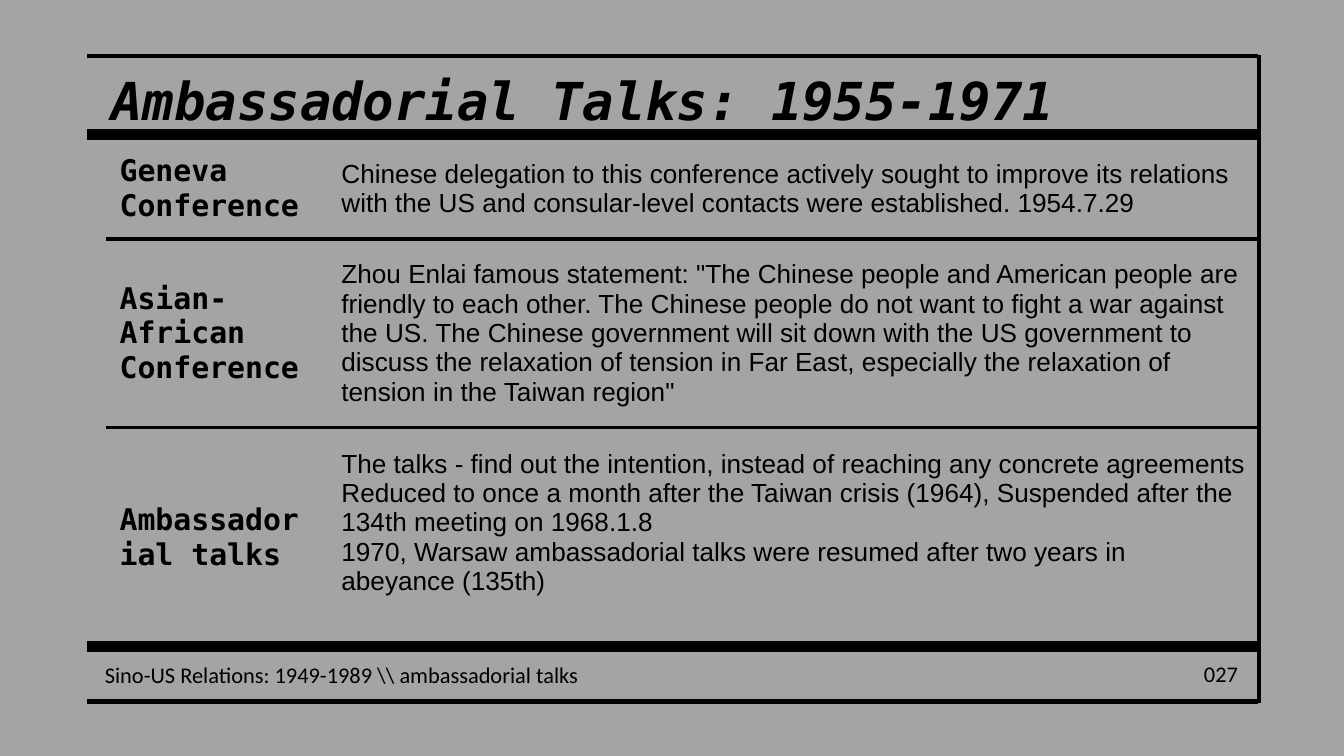
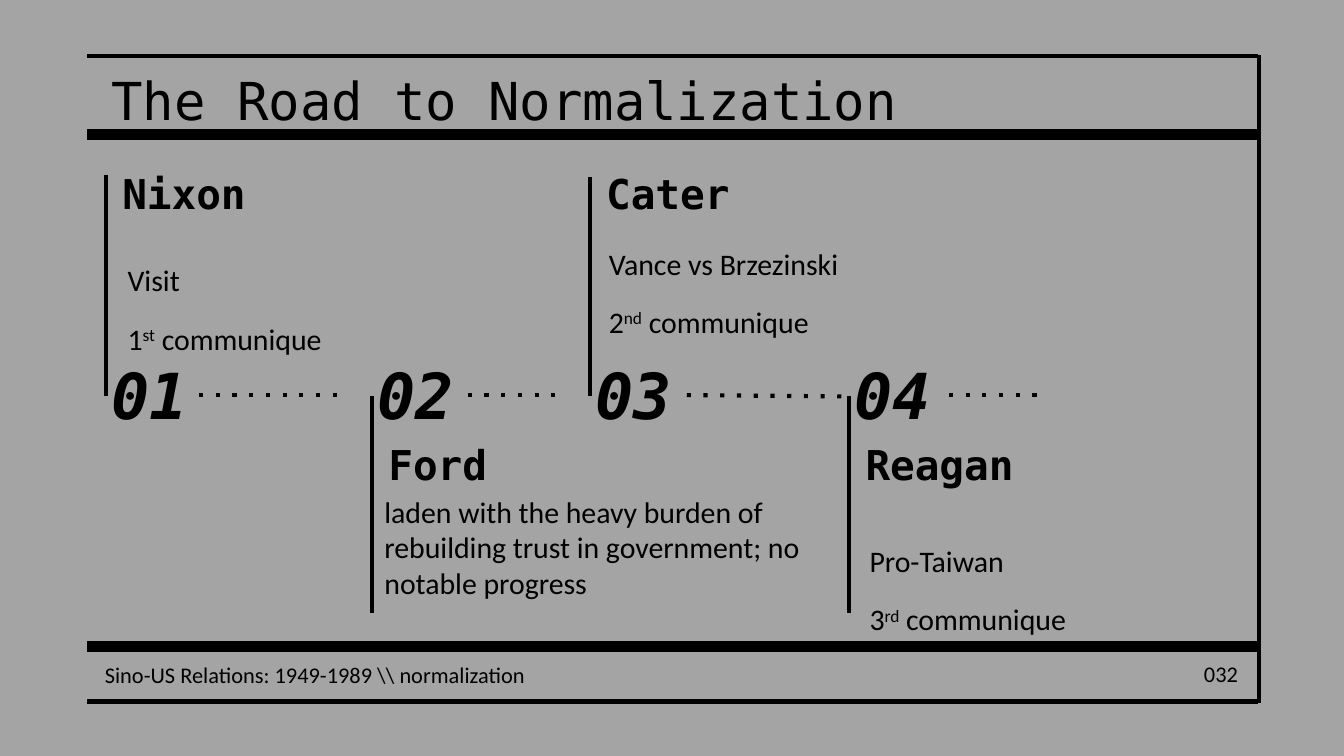
import pptx
import pptx.dml.color
import pptx.enum.shapes
import pptx.enum.text
import pptx.oxml
import pptx.oxml.ns
import pptx.util
from pptx.util import Inches

COLORS = {"background": "A5A4A4", "ink": "000000"}
MONO, BODY, TABLE = "DejaVu Sans Mono", "Calibri", "Arial"
RULE, BAND = 2.25, 6
ANCHOR = pptx.enum.text.MSO_ANCHOR
ALIGN = pptx.enum.text.PP_ALIGN
DRAWING = pptx.oxml.ns.nsdecls("a")


class Deck:
    """Holds the shared style and the slide being built."""

    def __init__(self):
        self.presentation = pptx.Presentation()
        self.presentation.slide_width = Inches(10)
        self.presentation.slide_height = Inches(10 * 9 / 16)
        self.slide = None

    def color(self, name):
        return pptx.dml.color.RGBColor.from_string(COLORS[name])

    def style(self, paragraph, size, font, bold=False, italic=False):
        paragraph.font.size = pptx.util.Pt(size)
        paragraph.font.name = font
        paragraph.font.bold = bold
        paragraph.font.italic = italic
        paragraph.font.color.rgb = self.color("ink")

    def text(self, box, paragraphs, size, font, bold=False, italic=False,
             after=0, align=ALIGN.LEFT, anchor=ANCHOR.TOP, insets=(0.04, 0)):
        """Each paragraph is a string or a list of (text, is_superscript)."""
        shape = self.slide.shapes.add_textbox(*map(Inches, box))
        frame = shape.text_frame
        frame.word_wrap = True
        frame.vertical_anchor = anchor
        frame.margin_left = frame.margin_right = Inches(insets[0])
        frame.margin_top = frame.margin_bottom = Inches(insets[1])
        for index, content in enumerate(paragraphs):
            paragraph = frame.paragraphs[0] if index == 0 else frame.add_paragraph()
            paragraph.alignment = align
            paragraph.space_after = pptx.util.Pt(after)
            self.style(paragraph, size, font, bold, italic)
            runs = [(content, False)] if isinstance(content, str) else content
            for words, superscript in runs:
                run = paragraph.add_run()
                run.text = words
                if superscript:
                    run._r.get_or_add_rPr().set("baseline", "30000")
        return shape

    def line(self, start, end, width=RULE, dotted=False):
        connector = self.slide.shapes.add_connector(
            pptx.enum.shapes.MSO_CONNECTOR.STRAIGHT, *map(Inches, start + end))
        connector.line.width = pptx.util.Pt(width)
        connector.line.color.rgb = self.color("ink")
        properties = connector._element.spPr
        if dotted:
            properties.find(pptx.oxml.ns.qn("a:ln")).append(
                pptx.oxml.parse_xml(f'<a:prstDash {DRAWING} val="dot"/>'))
        properties.append(pptx.oxml.parse_xml(f"<a:effectLst {DRAWING}/>"))
        return connector

    def start_slide(self, title, section, number, emphasis=False):
        self.slide = self.presentation.slides.add_slide(
            self.presentation.slide_layouts[6])
        fill = self.slide.background.fill
        fill.solid()
        fill.fore_color.rgb = self.color("background")
        # Frame rules and bands
        self.line((9.37, 0.41), (9.37, 5.23))
        for y, width in ((5.22, RULE), (0.42, RULE), (1, BAND), (4.81, BAND)):
            self.line((0.65, y), (9.36, y), width)
        # Title and footer
        self.text((0.79, 0.51, 8.43, 0.52), [title], 28, MONO,
                  bold=emphasis, italic=emphasis)
        self.text((8.71, 4.92, 0.6, 0.19), [number], 12, BODY,
                  align=ALIGN.RIGHT, anchor=ANCHOR.MIDDLE, insets=(0.1, 0.1))
        self.text((0.74, 4.92, 8.53, 0.19),
                  [f"Sino-US Relations: 1949-1989 \\\\ {section}"], 12, BODY)

    def cell_borders(self, cell):
        properties = cell._tc.get_or_add_tcPr()
        ink = f'<a:solidFill><a:srgbClr val="{COLORS["ink"]}"/></a:solidFill>'
        for side in "LRTB":
            paint = ink if side in "TB" else "<a:noFill/>"
            properties.append(pptx.oxml.parse_xml(
                f'<a:ln{side} {DRAWING} w="{pptx.util.Pt(RULE)}">{paint}</a:ln{side}>'))

    def table(self, box, widths, heights, rows):
        table = self.slide.shapes.add_table(
            len(rows), len(widths), *map(Inches, box)).table
        table.first_row = table.horz_banding = False
        for column, width in zip(table.columns, widths):
            column.width = Inches(width)
        for row, height, contents in zip(table.rows, heights, rows):
            row.height = Inches(height)
            for index, (cell, content) in enumerate(zip(row.cells, contents)):
                cell.margin_left = cell.margin_right = Inches(0.1)
                cell.margin_top = cell.margin_bottom = Inches(0.1)
                cell.vertical_anchor = ANCHOR.MIDDLE
                self.cell_borders(cell)
                cell.fill.background()
                cell.text_frame.text = content
                for paragraph in cell.text_frame.paragraphs:
                    if index == 0:
                        self.style(paragraph, 16, MONO, bold=True)
                    else:
                        self.style(paragraph, 14, TABLE)
        return table


def build_talks(deck):
    deck.start_slide("Ambassadorial Talks: 1955-1971", "ambassadorial talks",
                     "027", emphasis=True)
    talks = deck.table((0.79, 1.03, 8.59, 3.8), (1.65, 6.94), (0.75, 1.4, 1.64), [
        ("Geneva Conference",
         "Chinese delegation to this conference actively sought to improve its "
         "relations with the US and consular-level contacts were established. "
         "1954.7.29"),
        ("Asian-African Conference",
         'Zhou Enlai famous statement: "The Chinese people and American people '
         "are friendly to each other. The Chinese people do not want to fight a "
         "war against the US. The Chinese government will sit down with the US "
         "government to discuss the relaxation of tension in Far East, "
         'especially the relaxation of tension in the Taiwan region"'),
        ("Ambassadorial talks",
         "The talks - find out the intention, instead of reaching any concrete "
         "agreements\n"
         "Reduced to once a month after the Taiwan crisis (1964), Suspended "
         "after the 134th meeting on 1968.1.8\n"
         "1970, Warsaw ambassadorial talks were resumed after two years in "
         "abeyance (135th)"),
    ])
    # The last text sits half a line above the middle of its row
    talks.cell(2, 1).margin_bottom = Inches(0.32)


def communique(number, suffix):
    return [(number, False), (suffix, True), (" communique", False)]


def build_road(deck):
    deck.start_slide("The Road to Normalization", "normalization", "032")
    # Name, stem x and end y, name position, notes box, notes
    presidents = [
        ("Nixon", 0.79, 1.3, (0.87, 1.25), (0.91, 1.95, 1.97, 0.6),
         ["Visit", communique("1", "st")]),
        ("Ford", 2.77, 4.56, (2.85, 3.27), (2.82, 3.67, 3.22, 0.6),
         ["laden with the heavy burden of rebuilding trust in government; "
          "no notable progress"]),
        ("Cater", 4.39, 1.32, (4.47, 1.25), (4.49, 1.83, 3.58, 0.6),
         ["Vance vs Brzezinski", communique("2", "nd")]),
        ("Reagan", 6.32, 4.56, (6.4, 3.27), (6.43, 4.04, 1.97, 0.6),
         ["Pro-Taiwan", communique("3", "rd")]),
    ]
    axis = 2.95
    for index, (name, x, stem_end, place, notes_box, notes) in enumerate(presidents, 1):
        deck.text(place + (2, 0.73), [name], 22, MONO, bold=True, after=12)
        deck.text(notes_box, notes, 16, BODY, after=12)
        number = deck.text((x, axis - 0.3, 0.78, 0.6), [f"{index:02}"], 34, MONO,
                           bold=True, italic=True, after=12)
        deck.line((x, axis), (x, stem_end)).begin_connect(number, 1)
    # Dotted path between the numbers; the third part reaches number 04
    for start, end in ((1.48, 2.56), (3.48, 4.22), (5.11, 6.32), (7.06, 7.8)):
        dots = deck.line((start, 2.94), (end, 2.94), dotted=True)
        if end == 6.32:
            dots.end_connect(number, 1)


def main():
    deck = Deck()
    build_talks(deck)
    build_road(deck)
    deck.presentation.save("out.pptx")


if __name__ == "__main__":
    main()
